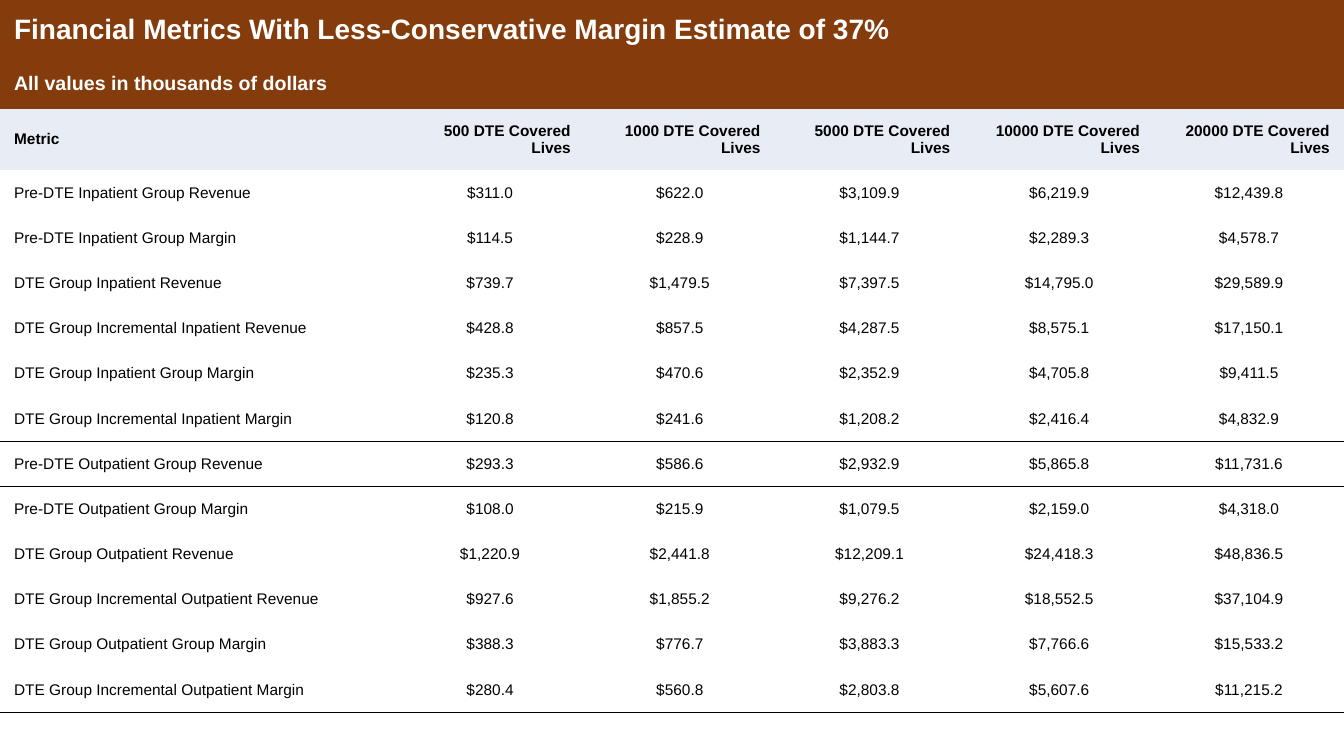
from lxml import etree
from pptx import Presentation
from pptx.dml.color import RGBColor
from pptx.enum.text import MSO_ANCHOR, PP_ALIGN
from pptx.oxml.ns import qn
from pptx.util import Inches, Pt

LEFT, CENTER, RIGHT = PP_ALIGN.LEFT, PP_ALIGN.CENTER, PP_ALIGN.RIGHT
MIDDLE = MSO_ANCHOR.MIDDLE
NO_GRID_STYLE = "{2D5ABB26-0587-4C30-8999-92F81FD0307C}"
BROWN, PALE_BLUE, WHITE, BLACK = "843C0C", "E7ECF5", "FFFFFF", "000000"

BANNERS = [
    ("Financial Metrics With Less-Conservative Margin Estimate of 37%", 20),
    ("All values in thousands of dollars", 14),
]
COVERED_LIVES = [500, 1000, 5000, 10000, 20000]
INPATIENT = [
    ("Pre-DTE Inpatient Group Revenue", 311.0, 622.0, 3109.9, 6219.9, 12439.8),
    ("Pre-DTE Inpatient Group Margin", 114.5, 228.9, 1144.7, 2289.3, 4578.7),
    ("DTE Group Inpatient Revenue", 739.7, 1479.5, 7397.5, 14795.0, 29589.9),
    ("DTE Group Incremental Inpatient Revenue", 428.8, 857.5, 4287.5, 8575.1, 17150.1),
    ("DTE Group Inpatient Group Margin", 235.3, 470.6, 2352.9, 4705.8, 9411.5),
    ("DTE Group Incremental Inpatient Margin", 120.8, 241.6, 1208.2, 2416.4, 4832.9),
]
OUTPATIENT = [
    ("Pre-DTE Outpatient Group Revenue", 293.3, 586.6, 2932.9, 5865.8, 11731.6),
    ("Pre-DTE Outpatient Group Margin", 108.0, 215.9, 1079.5, 2159.0, 4318.0),
    ("DTE Group Outpatient Revenue", 1220.9, 2441.8, 12209.1, 24418.3, 48836.5),
    ("DTE Group Incremental Outpatient Revenue", 927.6, 1855.2, 9276.2, 18552.5, 37104.9),
    ("DTE Group Outpatient Group Margin", 388.3, 776.7, 3883.3, 7766.6, 15533.2),
    ("DTE Group Incremental Outpatient Margin", 280.4, 560.8, 2803.8, 5607.6, 11215.2),
]


def rgb(color):
    return RGBColor.from_string(color)


def write_cell(cell, text, size=11, color=BLACK, bold=False, align=LEFT, fill=None):
    cell.text = text
    cell.vertical_anchor = MIDDLE
    cell.margin_left = cell.margin_right = Inches(0.14)
    cell.margin_top = cell.margin_bottom = Inches(0.13)
    if fill:
        cell.fill.solid()
        cell.fill.fore_color.rgb = rgb(fill)
    else:
        cell.fill.background()
    paragraph = cell.text_frame.paragraphs[0]
    paragraph.alignment = align
    font = paragraph.font
    font.name, font.size, font.bold = "Arial", Pt(size), bold
    font.color.rgb = rgb(color)


def rule_cell(cell, side):
    border = etree.Element(qn(f"a:ln{side}"), w=str(Pt(1)))
    solid = etree.SubElement(border, qn("a:solidFill"))
    etree.SubElement(solid, qn("a:srgbClr"), val=BLACK)
    cell._tc.get_or_add_tcPr().insert(0, border)


def rule_row(table, row, side):
    for column in range(len(table.columns)):
        rule_cell(table.cell(row, column), side)


def size_grid(table, width, height):
    metric_width = 3.92
    lives_width = (width - metric_width) / len(COVERED_LIVES)
    for index, column in enumerate(table.columns):
        column.width = Inches(lives_width if index else metric_width)
    top_heights = [0.59, 0.49, 0.61]
    body_count = len(table.rows) - len(top_heights)
    body_height = (height - sum(top_heights)) / body_count
    for row, row_height in zip(table.rows, top_heights + [body_height] * body_count):
        row.height = Inches(row_height)


def add_metrics_table(slide, left, top, width, height):
    metrics = INPATIENT + OUTPATIENT
    header_row = len(BANNERS)
    first_metric_row = header_row + 1
    last_column = len(COVERED_LIVES)
    table = slide.shapes.add_table(
        first_metric_row + len(metrics), last_column + 1,
        Inches(left), Inches(top), Inches(width), Inches(height)).table
    table.first_row = table.horz_banding = False
    table._tbl.tblPr.find(qn("a:tableStyleId")).text = NO_GRID_STYLE
    size_grid(table, width, height)

    for row, (banner, size) in enumerate(BANNERS):
        table.cell(row, 0).merge(table.cell(row, last_column))
        write_cell(table.cell(row, 0), banner, size, WHITE, True, fill=BROWN)

    headings = ["Metric"] + [f"{lives} DTE Covered Lives" for lives in COVERED_LIVES]
    for column, heading in enumerate(headings):
        write_cell(table.cell(header_row, column), heading, bold=True,
                   align=RIGHT if column else LEFT, fill=PALE_BLUE)

    for row, (metric, *amounts) in enumerate(metrics, first_metric_row):
        write_cell(table.cell(row, 0), metric)
        for column, amount in enumerate(amounts, 1):
            write_cell(table.cell(row, column), f"${amount:,.1f}", align=CENTER)

    outpatient_row = first_metric_row + len(INPATIENT)
    rule_row(table, outpatient_row - 1, "B")
    rule_row(table, outpatient_row, "T")
    rule_row(table, len(table.rows) - 1, "B")


def main():
    deck = Presentation()
    deck.slide_width, deck.slide_height = Inches(13.33), Inches(7.5)
    slide = deck.slides.add_slide(deck.slide_layouts[6])
    add_metrics_table(slide, 0, 0, 13.33, 7.07)
    deck.save("out.pptx")


if __name__ == "__main__":
    main()
